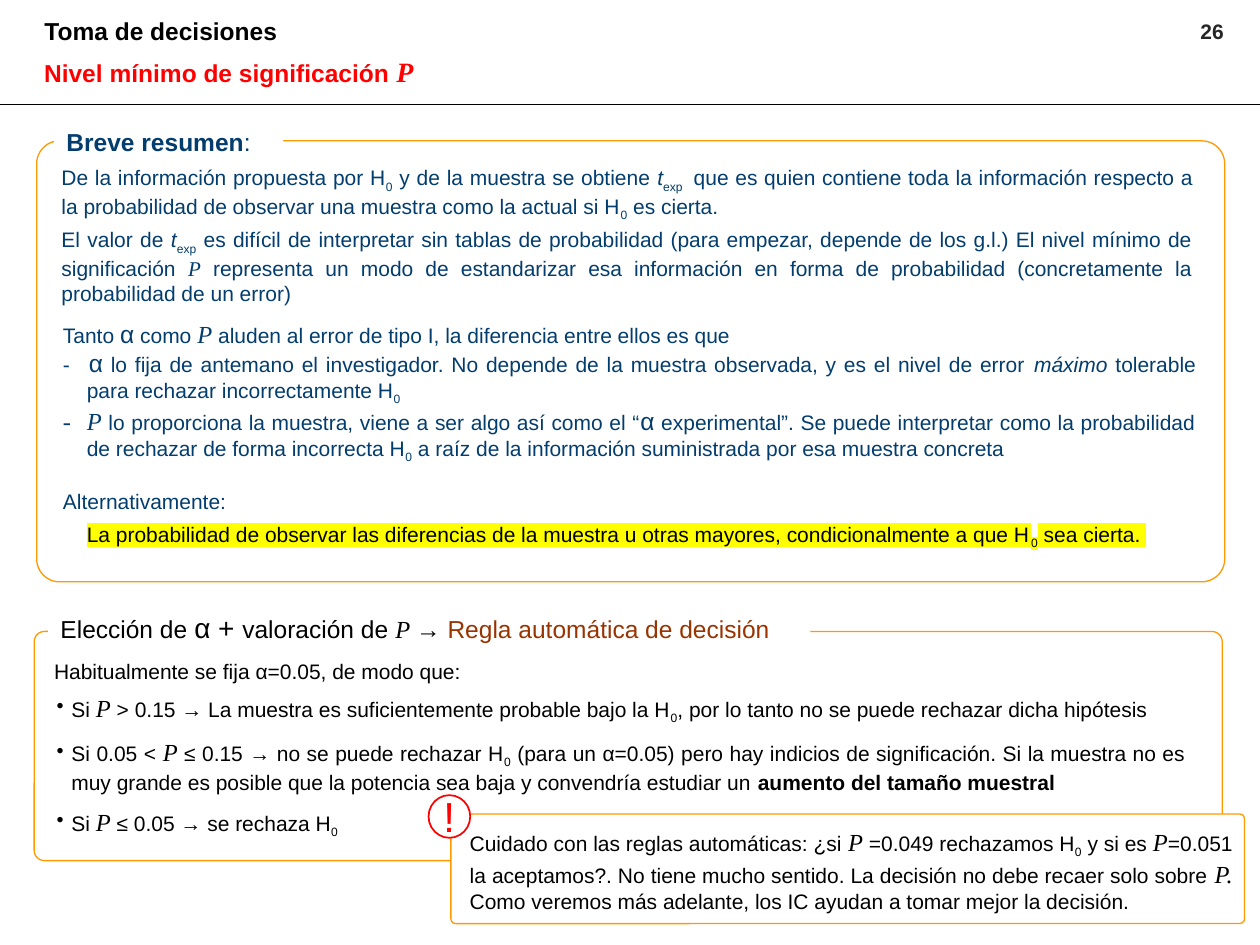
from pptx import Presentation
from pptx.dml.color import RGBColor
from pptx.enum.shapes import MSO_CONNECTOR, MSO_SHAPE
from pptx.enum.text import MSO_ANCHOR, MSO_AUTO_SIZE, PP_ALIGN
from pptx.oxml.ns import qn
from pptx.util import Cm, Pt
from lxml import etree

LEFT, RIGHT, JUSTIFY = PP_ALIGN.LEFT, PP_ALIGN.RIGHT, PP_ALIGN.JUSTIFY
TOP, NO_AUTOFIT = MSO_ANCHOR.TOP, MSO_AUTO_SIZE.NONE
ROUNDED, OVAL = MSO_SHAPE.ROUNDED_RECTANGLE, MSO_SHAPE.OVAL
STRAIGHT = MSO_CONNECTOR.STRAIGHT
TITLE_ONLY = 5

SANS, SERIF = "Arial", "Times New Roman"
BLACK, WHITE, RED, NAVY = "000000", "FFFFFF", "FF0000", "023D6E"
ORANGE, BROWN, YELLOW, GRAY = "FF9900", "993300", "FFFF00", "262626"

# Run styles: what a run changes from its paragraph
SYMBOL = dict(name=SERIF, size=Pt(14), italic=True)
SMALL_SYMBOL = dict(name=SERIF, italic=True)
TITLE_SYMBOL = dict(name=SERIF, size=Pt(16), italic=True)
GREEK = dict(size=Pt(14))
LARGE = dict(size=Pt(16))
SMALL = dict(size=Pt(12))
ITALIC = dict(italic=True)
BOLD = dict(bold=True)
PLAIN = dict(bold=False)
ACCENT = dict(color=BROWN)
SUBSCRIPT = dict(baseline="-25000")

# Runs that recur in the text
P, P_SPACE = ("P", SYMBOL), ("P ", SYMBOL)
ALPHA, ZERO, T = ("α", GREEK), ("0", SUBSCRIPT), ("t", ITALIC)


def rgb(value):
    return RGBColor.from_string(value)


class SlideBuilder:
    def __init__(self, slide):
        self.slide = slide

    def shape(self, kind, box, line, width=0.75, fill=WHITE, corner=None):
        shape = self.slide.shapes.add_shape(kind, *map(Cm, box))
        shape.shadow.inherit = False
        if fill:
            shape.fill.solid()
            shape.fill.fore_color.rgb = rgb(fill)
        else:
            shape.fill.background()
        shape.line.color.rgb = rgb(line)
        shape.line.width = Pt(width)
        if corner is not None:
            shape.adjustments[0] = corner

    def rule(self, left, right, y):
        line = self.slide.shapes.add_connector(
            STRAIGHT, Cm(left), Cm(y), Cm(right), Cm(y))
        line.line.color.rgb = rgb(BLACK)
        line.line.width = Pt(0.75)
        etree.SubElement(line._element.spPr, qn("a:effectLst"))

    def title(self, box, paragraphs, **style):
        shape = self.slide.shapes.title
        shape.left, shape.top, shape.width, shape.height = map(Cm, box)
        self.fill_text(shape, paragraphs, **style)

    def text(self, box, paragraphs, fill=None, **style):
        shape = self.slide.shapes.add_textbox(*map(Cm, box))
        if fill:
            shape.fill.solid()
            shape.fill.fore_color.rgb = rgb(fill)
        self.fill_text(shape, paragraphs, **style)

    def fill_text(self, shape, paragraphs, size=12, color=BLACK, bold=False,
                  align=LEFT, indent=0, bullet=None, gaps=(), highlight=None,
                  wrap=True):
        frame = shape.text_frame
        frame.word_wrap = wrap
        frame.auto_size = NO_AUTOFIT
        frame.vertical_anchor = TOP
        for index, runs in enumerate(paragraphs):
            paragraph = frame.paragraphs[0] if index == 0 else frame.add_paragraph()
            properties = paragraph._p.get_or_add_pPr()
            if indent:
                properties.set("marL", str(Cm(indent)))
                properties.set("indent", str(-Cm(indent)))
            if bullet:
                etree.SubElement(properties, qn("a:buChar"), char=bullet)
            paragraph.alignment = align
            paragraph.space_before = Pt(gaps[index] if gaps else 0)
            font = paragraph.font
            font.name, font.size, font.bold = SANS, Pt(size), bold
            font.color.rgb = rgb(color)
            for item in runs:
                words, style = (item, {}) if isinstance(item, str) else item
                self.add_run(paragraph, words, style, highlight)

    def add_run(self, paragraph, words, style, highlight):
        run = paragraph.add_run()
        run.text = words
        properties = run._r.get_or_add_rPr()
        if highlight:
            mark = etree.SubElement(properties, qn("a:highlight"))
            etree.SubElement(mark, qn("a:srgbClr"), val=highlight)
        for key, value in style.items():
            if key == "baseline":
                properties.set("baseline", value)
            elif key == "color":
                run.font.color.rgb = rgb(value)
            elif key == "name":
                run.font.name = value
            elif key == "size":
                run.font.size = value
            elif key == "italic":
                run.font.italic = value
            elif key == "bold":
                run.font.bold = value


def main():
    presentation = Presentation()
    presentation.slide_width, presentation.slide_height = Cm(25.4), Cm(19.05)
    slide = presentation.slides.add_slide(presentation.slide_layouts[TITLE_ONLY])
    builder = SlideBuilder(slide)

    # Header
    builder.title((0.64, 0.2, 11.58, 0.86), [["Toma de decisiones"]],
                  size=14, bold=True)
    builder.text((0.64, 0.97, 11.02, 0.94),
                 [["Nivel mínimo de significación ", ("P", TITLE_SYMBOL)]],
                 size=14, bold=True, color=RED, align=JUSTIFY)
    builder.text((22.23, 0.25, 2.69, 0.76), [["26"]],
                 bold=True, color=GRAY, align=RIGHT)
    builder.rule(0, 25.4, 2.11)

    # Summary
    builder.shape(ROUNDED, (0.74, 2.84, 23.95, 8.89), ORANGE, fill=None, corner=0.052)
    builder.text((1.09, 2.44, 4.62, 0.86), [["Breve resumen", (":", PLAIN)]],
                 fill=WHITE, size=14, bold=True, color=NAVY)
    builder.text((0.99, 3.2, 23.32, 1.3), [[
        "De la información propuesta por H", ZERO,
        " y de la muestra se obtiene ", T, ("exp ", SUBSCRIPT),
        " que es quien contiene toda la información respecto a la probabilidad"
        " de observar una muestra como la actual si H", ZERO, " es cierta."]],
        color=NAVY, align=JUSTIFY)
    builder.text((0.99, 4.45, 23.32, 1.8), [[
        "El valor de ", T, ("exp", SUBSCRIPT),
        " es difícil de interpretar sin tablas de probabilidad (para empezar,"
        " depende de los g.l.) El nivel mínimo de significación ",
        ("P", SMALL_SYMBOL),
        " representa un modo de estandarizar esa información en forma de"
        " probabilidad (concretamente la probabilidad de un error)"]],
        color=NAVY, align=JUSTIFY)
    builder.text((1.02, 6.3, 23.34, 4.62), [
        ["Tanto ", ALPHA, " como ", P,
         " aluden al error de tipo I, la diferencia entre ellos es que"],
        ["- \t", ALPHA,
         " lo fija de antemano el investigador. No depende de la muestra"
         " observada, y es el nivel de error ", ("máximo", ITALIC),
         " tolerable para rechazar incorrectamente H", ZERO],
        [("-\tP", SYMBOL),
         " lo proporciona la muestra, viene a ser algo así como el “", ALPHA,
         " experimental”. Se puede interpretar como la probabilidad de"
         " rechazar de forma incorrecta H", ZERO,
         " a raíz de la información suministrada por esa muestra concreta"],
        ["Alternativamente:"]],
        color=NAVY, align=JUSTIFY, indent=0.48, gaps=(0, 0, 0, 14))
    builder.text((1.5, 10.39, 22.4, 1.27), [[
        "La probabilidad de observar las diferencias de la muestra u otras"
        " mayores, condicionalmente a que H", ZERO, " sea cierta. "]],
        highlight=YELLOW)

    # Decision rule
    builder.shape(ROUNDED, (0.69, 12.73, 23.95, 4.62), ORANGE, corner=0.045)
    builder.text((0.89, 13.84, 23.27, 3.07), [
        ["Si ", P, " > 0.15 → La muestra es suficientemente probable bajo la H",
         ZERO, ", por lo tanto no se puede rechazar dicha hipótesis"],
        ["Si 0.05 < ", P_SPACE, "≤ 0.15 → no se puede rechazar H", ZERO,
         " (para un α=0.05) pero hay indicios de significación. Si la muestra"
         " no es muy grande es posible que la potencia sea baja y convendría"
         " estudiar un ", ("aumento del tamaño muestral", BOLD)],
        ["Si ", P_SPACE, "≤ 0.05 → se rechaza H", ZERO]],
        fill=WHITE, align=JUSTIFY, indent=0.3, bullet="•", gaps=(0, 7, 7))
    builder.text((0.97, 12.19, 15.37, 0.94), [[
        "Elección de ", ("α + ", LARGE), "valoración de ", ("P", SMALL_SYMBOL),
        (" ", SMALL), "→ ", ("Regla automática de decisión", ACCENT)]],
        fill=WHITE, size=14)
    builder.text((0.84, 13.16, 10.85, 0.76),
                 [["Habitualmente se fija α=0.05, de modo que:"]], fill=WHITE)

    # Warning
    builder.shape(ROUNDED, (9.09, 16.41, 16, 2.21), ORANGE, corner=0.045)
    builder.text((9.22, 16.54, 15.88, 1.98), [[
        "Cuidado con las reglas automáticas: ¿si ", P_SPACE,
        "=0.049 rechazamos H", ZERO, " y si es ", P,
        "=0.051 la aceptamos?. No tiene mucho sentido. La decisión no debe"
        " recaer solo sobre ", ("P.", SYMBOL),
        " Como veremos más adelante, los IC ayudan a tomar mejor la decisión."]],
        align=JUSTIFY)
    builder.shape(OVAL, (8.64, 16.03, 0.84, 0.86), RED, width=1)
    builder.text((8.69, 15.82, 0.74, 1.27), [["!"]], size=24, color=RED, wrap=False)

    presentation.save("out.pptx")


if __name__ == "__main__":
    main()
